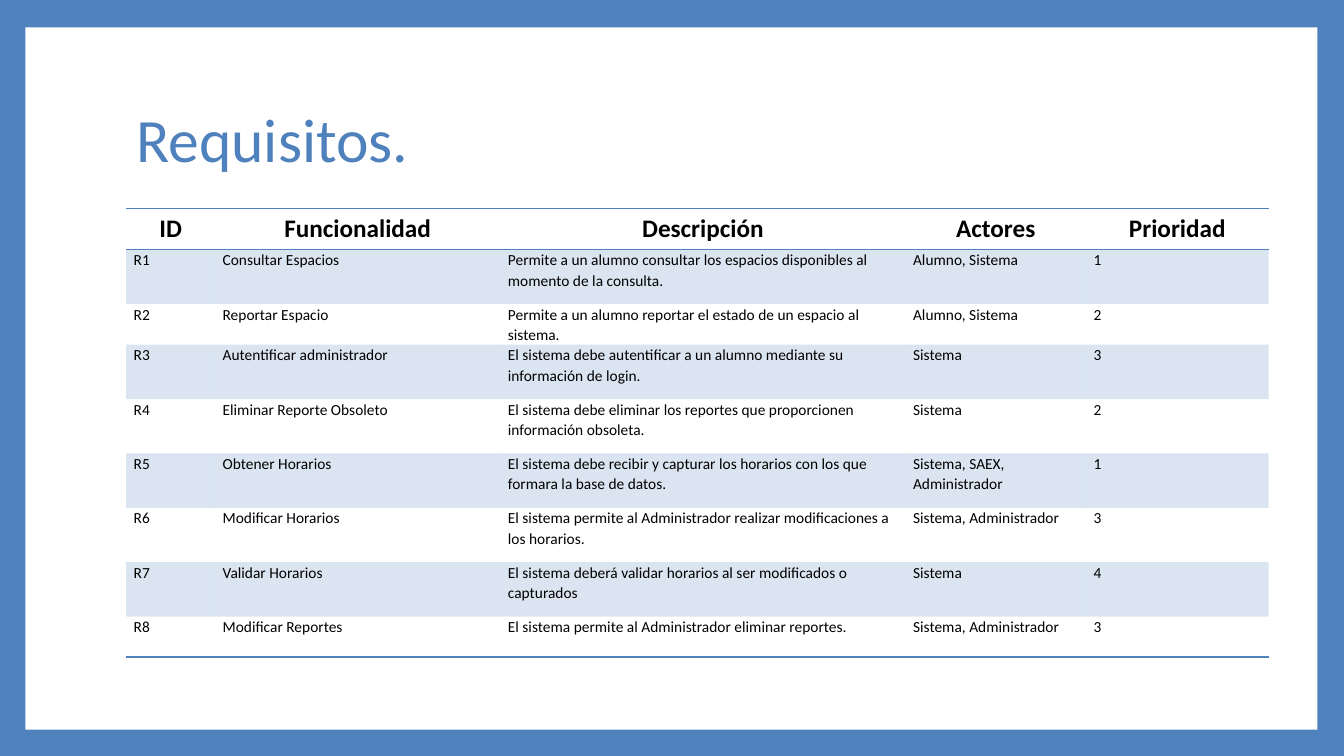
"""Build the requirements slide: a framed page with a title and a table."""
import pptx
import pptx.dml.color
import pptx.enum.shapes
import pptx.enum.text
import pptx.oxml
import pptx.oxml.ns
import pptx.util
from pptx.util import Cm

BLUE, BLACK, WHITE = "4F81BD", "000000", "FFFFFF"
FONT = "Calibri"
BAND_OPACITY = 20
PLAIN_TABLE_STYLE = "{2D5ABB26-0587-4C30-8999-92F81FD0307C}"
TITLE = "Requisitos."
HEADERS = ["ID", "Funcionalidad", "Descripción", "Actores", "Prioridad"]
REQUIREMENTS = [
    ("Consultar Espacios",
     "Permite a un alumno consultar los espacios disponibles al momento de la consulta.",
     "Alumno, Sistema", 1),
    ("Reportar Espacio",
     "Permite a un alumno reportar el estado de un espacio al sistema.",
     "Alumno, Sistema", 2),
    ("Autentificar administrador",
     "El sistema debe autentificar a un alumno mediante su información de login.",
     "Sistema", 3),
    ("Eliminar Reporte Obsoleto",
     "El sistema debe eliminar los reportes que proporcionen información obsoleta.",
     "Sistema", 2),
    ("Obtener Horarios",
     "El sistema debe recibir y capturar los horarios con los que formara la base de datos.",
     "Sistema, SAEX, Administrador", 1),
    ("Modificar Horarios",
     "El sistema permite al Administrador realizar modificaciones a los horarios.",
     "Sistema, Administrador", 3),
    ("Validar Horarios",
     "El sistema deberá validar horarios al ser modificados o capturados",
     "Sistema", 4),
    ("Modificar Reportes",
     "El sistema permite al Administrador eliminar reportes.",
     "Sistema, Administrador", 3),
]
COLUMN_WIDTHS = [2.24, 7.19, 10.21, 4.55, 4.6]
HEADER_HEIGHT, TALL_ROW, SHORT_ROW = 0.86, 1.37, 1.02
SHORT_ROWS = (2, 8)


def color(value):
    return pptx.dml.color.RGBColor.from_string(value)


def fill_solid(fill, value):
    fill.solid()
    fill.fore_color.rgb = color(value)


def write(frame, text, size=11, ink=BLACK, bold=False, align=None, spacing=1.0):
    para = frame.paragraphs[0]
    para.alignment = align
    para.line_spacing = spacing
    span = para.add_run()
    span.text = text
    span.font.name = FONT
    span.font.size = pptx.util.Pt(size)
    span.font.bold = bold
    span.font.color.rgb = color(ink)


def add_rules(cell, sides):
    properties = cell._tc.get_or_add_tcPr()
    for index, side in enumerate(sides):
        rule = pptx.oxml.parse_xml(
            f'<a:ln{side} {pptx.oxml.ns.nsdecls("a")} w="12700"><a:solidFill>'
            f'<a:srgbClr val="{BLUE}"/></a:solidFill></a:ln{side}>')
        properties.insert(index, rule)


def tint(cell):
    fill_solid(cell.fill, BLUE)
    swatch = cell._tc.tcPr.find(".//" + pptx.oxml.ns.qn("a:srgbClr"))
    alpha = pptx.oxml.parse_xml(
        f'<a:alpha {pptx.oxml.ns.nsdecls("a")} val="{BAND_OPACITY * 1000}"/>')
    swatch.append(alpha)


def add_panel(page):
    panel = page.shapes.add_shape(pptx.enum.shapes.MSO_SHAPE.RECTANGLE,
                                  Cm(0.64), Cm(0.69), Cm(32.56), Cm(17.7))
    panel.shadow.inherit = False
    fill_solid(panel.fill, WHITE)
    panel.line.fill.background()
    page.shapes._spTree.insert(2, panel._element)


def add_title(page):
    title = page.shapes.title
    title.left, title.top, title.width, title.height = Cm(3.18), Cm(1.7), Cm(27.43), Cm(3.76)
    title.text_frame.vertical_anchor = pptx.enum.text.MSO_ANCHOR.MIDDLE
    write(title.text_frame, TITLE, size=44, ink=BLUE,
          align=pptx.enum.text.PP_ALIGN.LEFT, spacing=0.9)


def format_cell(cell, text, row, last_row):
    cell.fill.background()
    if row == 0:
        cell.vertical_anchor = pptx.enum.text.MSO_ANCHOR.MIDDLE
        write(cell.text_frame, text, size=18, bold=True,
              align=pptx.enum.text.PP_ALIGN.CENTER)
        add_rules(cell, "TB")
        return
    cell.margin_left = cell.margin_right = Cm(0.19)
    cell.margin_top = cell.margin_bottom = 0
    write(cell.text_frame, text, spacing=1.07)
    if row % 2:
        tint(cell)
    if row == last_row:
        add_rules(cell, "B")


def add_requirements(page):
    rows = [HEADERS] + [(f"R{number}", *requirement)
                        for number, requirement in enumerate(REQUIREMENTS, 1)]
    heights = [HEADER_HEIGHT] + [SHORT_ROW if number in SHORT_ROWS else TALL_ROW
                                 for number in range(1, len(rows))]
    frame = page.shapes.add_table(len(rows), len(HEADERS), Cm(3.18), Cm(5.26),
                                  Cm(sum(COLUMN_WIDTHS)), Cm(sum(heights)))
    table = frame.table
    table.horz_banding = False
    style = table._tbl.tblPr.find(pptx.oxml.ns.qn("a:tableStyleId"))
    style.text = PLAIN_TABLE_STYLE
    for column, width in zip(table.columns, COLUMN_WIDTHS):
        column.width = Cm(width)
    for index, values in enumerate(rows):
        table.rows[index].height = Cm(heights[index])
        for column, value in enumerate(values):
            format_cell(table.cell(index, column), str(value), index, len(rows) - 1)


def main():
    deck = pptx.Presentation()
    deck.slide_width, deck.slide_height = Cm(33.87), Cm(19.05)
    page = deck.slides.add_slide(deck.slide_layouts[5])
    fill_solid(page.background.fill, BLUE)
    add_panel(page)
    add_title(page)
    add_requirements(page)
    deck.save("out.pptx")


if __name__ == "__main__":
    main()
